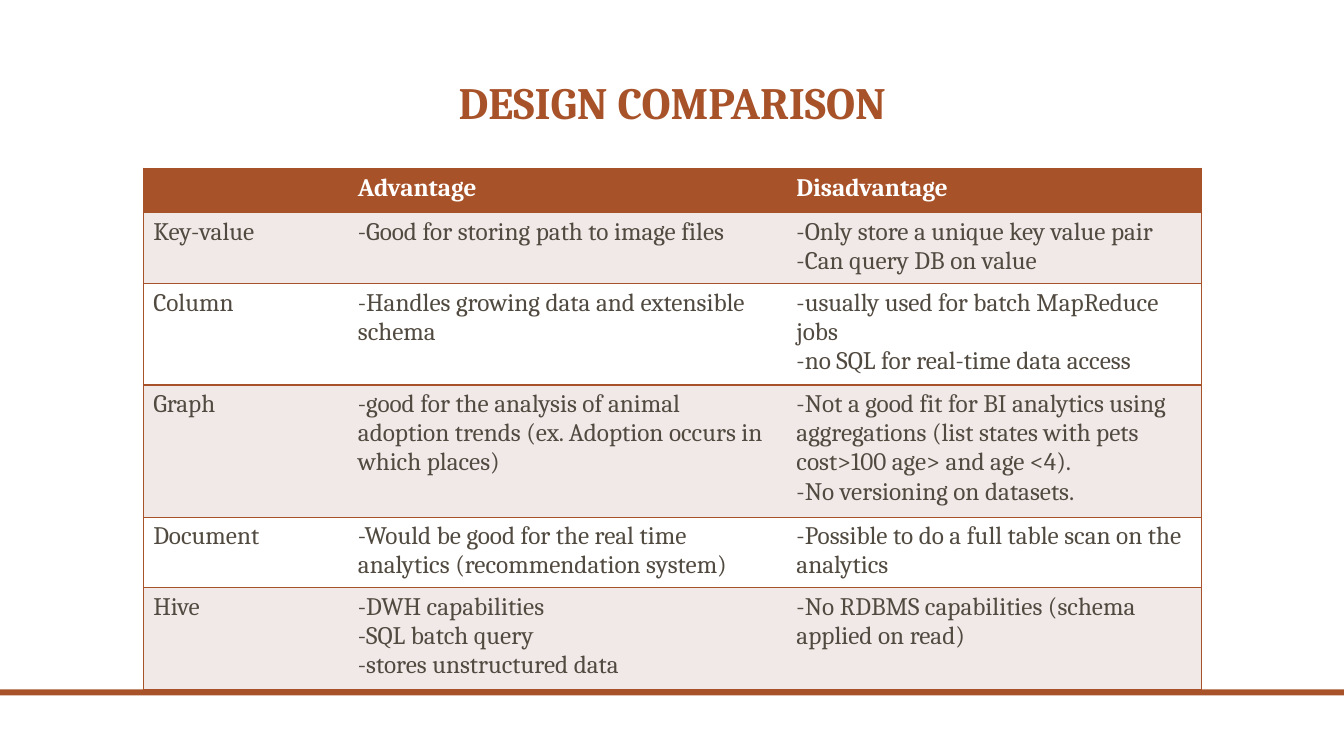
import pptx
import pptx.dml.color
import pptx.enum.shapes
import pptx.enum.text
import pptx.oxml
import pptx.oxml.ns
import pptx.util
from pptx.util import Inches

RUST = pptx.dml.color.RGBColor(0xA8, 0x52, 0x29)
BROWN_GREY = pptx.dml.color.RGBColor(0x51, 0x4A, 0x40)
PALE_PINK = pptx.dml.color.RGBColor(0xF1, 0xE9, 0xE8)
WHITE = pptx.dml.color.RGBColor(0xFF, 0xFF, 0xFF)
FONT = "Cambria"

SLIDE_WIDTH, SLIDE_HEIGHT = 13.33, 7.5
COLUMN_WIDTHS = [2.03, 4.35, 4.12]
ROW_HEIGHTS = [0.44, 0.7, 1.01, 1.31, 0.7, 1.01]
COMPARISON = [
    ("", "Advantage", "Disadvantage"),
    ("Key-value",
     "-Good for storing path to image files",
     "-Only store a unique key value pair\n-Can query DB on value"),
    ("Column",
     "-Handles growing data and extensible schema",
     "-usually used for batch MapReduce jobs\n-no SQL for real-time data access"),
    ("Graph",
     "-good for the analysis of animal adoption trends "
     "(ex. Adoption occurs in which places)",
     "-Not a good fit for BI analytics using aggregations "
     "(list states with pets cost>100 age> and age <4).\n"
     "-No versioning on datasets."),
    ("Document",
     "-Would be good for the real time analytics (recommendation system)",
     "-Possible to do a full table scan on the analytics"),
    ("Hive",
     "-DWH capabilities\n-SQL batch query\n-stores unstructured data",
     "-No RDBMS capabilities (schema applied on read)"),
]


def set_font(paragraph, size, color, bold):
    paragraph.font.name = FONT
    paragraph.font.size = pptx.util.Pt(size)
    paragraph.font.color.rgb = color
    paragraph.font.bold = bold


def add_footer_bar(slide, left, top, width, height):
    bar = slide.shapes.add_shape(
        pptx.enum.shapes.MSO_SHAPE.RECTANGLE,
        Inches(left), Inches(top), Inches(width), Inches(height))
    bar.shadow.inherit = False
    bar.fill.solid()
    bar.fill.fore_color.rgb = RUST
    bar.line.fill.background()


def add_title(slide, left, top, width, height):
    title = slide.shapes.add_textbox(
        Inches(left), Inches(top), Inches(width), Inches(height))
    frame = title.text_frame
    frame.word_wrap = True
    frame.vertical_anchor = pptx.enum.text.MSO_ANCHOR.MIDDLE
    paragraph = frame.paragraphs[0]
    paragraph.text = "DESIGN COMPARISON"
    paragraph.alignment = pptx.enum.text.PP_ALIGN.CENTER
    paragraph.line_spacing = 0.9
    set_font(paragraph, 32, RUST, True)


def set_borders(cell, visible_sides):
    """Draw the named sides (L, R, T, B) and hide the others; call before filling."""
    properties = cell._tc.get_or_add_tcPr()
    for side in "LRTB":
        if side in visible_sides:
            paint = f'<a:solidFill><a:srgbClr val="{RUST}"/></a:solidFill>'
        else:
            paint = "<a:noFill/>"
        properties.append(pptx.oxml.parse_xml(
            f'<a:ln{side} {pptx.oxml.ns.nsdecls("a")} w="{pptx.util.Pt(1)}">'
            f"{paint}</a:ln{side}>"))


def add_comparison_table(slide, left, top, width, height):
    table = slide.shapes.add_table(
        len(COMPARISON), len(COLUMN_WIDTHS),
        Inches(left), Inches(top), Inches(width), Inches(height)).table
    for column, column_width in zip(table.columns, COLUMN_WIDTHS):
        column.width = Inches(column_width)
    for row, row_height in zip(table.rows, ROW_HEIGHTS):
        row.height = Inches(row_height)

    for row_index, texts in enumerate(COMPARISON):
        is_header = row_index == 0
        band = RUST if is_header else PALE_PINK if row_index % 2 else WHITE
        for column_index, text in enumerate(texts):
            cell = table.cell(row_index, column_index)
            set_borders(cell, ("LTB", "TB", "RTB")[column_index])
            cell.fill.solid()
            cell.fill.fore_color.rgb = band
            cell.text = text
            for paragraph in cell.text_frame.paragraphs:
                set_font(paragraph, 18, WHITE if is_header else BROWN_GREY, is_header)


def build_comparison_slide(presentation):
    slide = presentation.slides.add_slide(presentation.slide_layouts[6])
    slide.background.fill.solid()
    slide.background.fill.fore_color.rgb = WHITE
    content_left, content_width = 1.42, sum(COLUMN_WIDTHS)
    add_footer_bar(slide, 0, 6.84, SLIDE_WIDTH, 0.06)
    add_title(slide, content_left, 0.42, content_width, 1.25)
    add_comparison_table(slide, content_left, 1.67, content_width, sum(ROW_HEIGHTS))


def main():
    presentation = pptx.Presentation()
    presentation.slide_width = Inches(SLIDE_WIDTH)
    presentation.slide_height = Inches(SLIDE_HEIGHT)
    build_comparison_slide(presentation)
    presentation.save("out.pptx")


if __name__ == "__main__":
    main()
